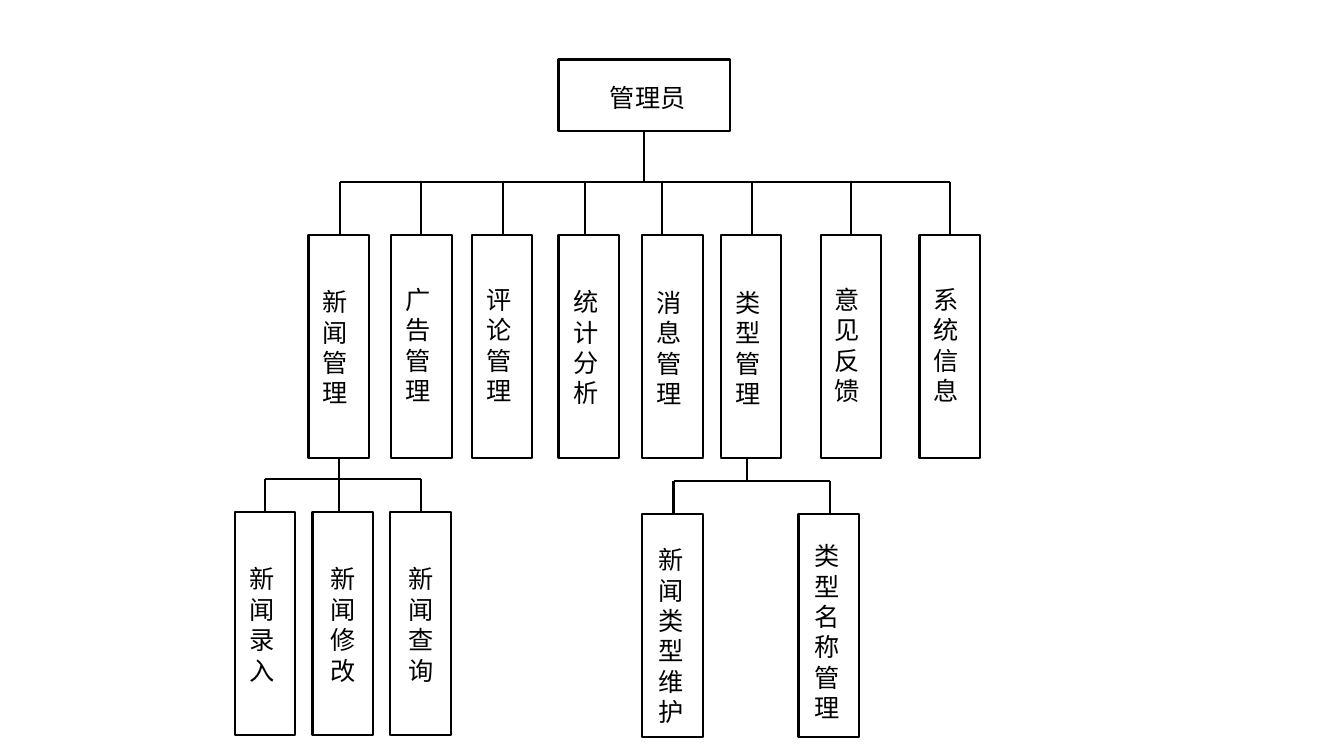
from dataclasses import dataclass

from lxml import etree
from pptx import Presentation
from pptx.dml.color import RGBColor
from pptx.enum.shapes import MSO_CONNECTOR, MSO_SHAPE
from pptx.enum.text import MSO_ANCHOR, MSO_AUTO_SIZE, PP_ALIGN
from pptx.oxml.ns import qn
from pptx.util import Inches, Pt

RECTANGLE = MSO_SHAPE.RECTANGLE
STRAIGHT = MSO_CONNECTOR.STRAIGHT
TOP = MSO_ANCHOR.TOP
GROW = MSO_AUTO_SIZE.SHAPE_TO_FIT_TEXT
LEFT = PP_ALIGN.LEFT


@dataclass(frozen=True)
class Theme:
    ink: RGBColor = RGBColor(0, 0, 0)
    font: str = "Noto Sans CJK SC"
    text_size: Pt = Pt(18)
    line_pitch: Pt = Pt(21.7)
    line_width: Pt = Pt(1.5)


THEME = Theme()
BOX_WIDTH, BOX_HEIGHT = 0.6, 2.21
LABEL_WIDTH, LINE_HEIGHT, LABEL_PADDING = 0.51, 0.3, 0.1

# Tiers: top of the boxes, then (text, box left, label left, label top)
MODULE_TOP = 2.33
MODULES = [
    ("新闻管理", 3.06, 3.1, 2.77),
    ("广告管理", 3.88, 3.92, 2.75),
    ("评论管理", 4.68, 4.73, 2.75),
    ("统计分析", 5.54, 5.59, 2.77),
    ("消息管理", 6.37, 6.41, 2.78),
    ("类型管理", 7.15, 7.2, 2.78),
    ("意见反馈", 8.14, 8.18, 2.75),
    ("系统信息", 9.12, 9.16, 2.75),
]
NEWS_TOP = 5.08
NEWS_TASKS = [
    ("新闻录入", 2.33, 2.38, 5.52),
    ("新闻修改", 3.1, 3.18, 5.52),
    ("新闻查询", 3.87, 3.95, 5.52),
]
TYPE_TOP = 5.1
TYPE_TASKS = [
    ("新闻类型维护", 6.37, 6.43, 5.33),
    ("类型名称管理", 7.92, 7.98, 5.29),
]

# Branches: stem x, stem top, bus y, drop bottom, drop positions
BRANCHES = [
    (6.39, 1.31, 1.81, 2.33, [3.37, 4.18, 4.99, 5.8, 6.57, 7.46, 8.44, 9.42]),
    (3.36, 4.54, 4.75, NEWS_TOP, [2.63, 3.36, 4.18]),
    (7.41, 4.54, 4.77, TYPE_TOP, [6.68, 8.23]),
]


def apply(target, values):
    for name, value in values.items():
        setattr(target, name, value)


def style_line(line):
    line.color.rgb = THEME.ink
    line.width = THEME.line_width


def add_frame(chart, left, top, width, height):
    frame = chart.shapes.add_shape(
        RECTANGLE, Inches(left), Inches(top), Inches(width), Inches(height))
    frame.shadow.inherit = False
    frame.fill.background()
    style_line(frame.line)


def add_label(chart, text, left, top, width, height):
    box = chart.shapes.add_textbox(
        Inches(left), Inches(top), Inches(width), Inches(height))
    apply(box.text_frame, {
        "word_wrap": True, "auto_size": GROW, "vertical_anchor": TOP,
        "margin_left": Inches(0.1), "margin_right": Inches(0.1),
        "margin_top": Inches(0.07), "margin_bottom": Inches(0.03),
    })
    para = box.text_frame.paragraphs[0]
    apply(para, {"alignment": LEFT, "line_spacing": THEME.line_pitch})
    span = para.add_run()
    span.text = text
    apply(span.font, {"name": THEME.font, "size": THEME.text_size})
    span.font.color.rgb = THEME.ink
    # East Asian typeface
    properties = span.font._element if hasattr(span.font, "_element") else span._r.get_or_add_rPr()
    etree.SubElement(properties, qn("a:ea"), typeface=THEME.font)


def add_line(chart, start, end):
    line = chart.shapes.add_connector(
        STRAIGHT, *(Inches(value) for value in (*start, *end)))
    style_line(line.line)
    etree.SubElement(line._element.spPr, qn("a:effectLst"))


def add_branch(chart, stem, top, bus, bottom, drops):
    add_line(chart, (stem, top), (stem, bus))
    add_line(chart, (drops[0], bus), (drops[-1], bus))
    for drop in drops:
        add_line(chart, (drop, bus), (drop, bottom))


def add_tier(chart, top, entries):
    for text, box_left, label_left, label_top in entries:
        add_frame(chart, box_left, top, BOX_WIDTH, BOX_HEIGHT)
        # The narrow label wraps after each character
        height = len(text) * LINE_HEIGHT + LABEL_PADDING
        add_label(chart, text, label_left, label_top, LABEL_WIDTH, height)


def main():
    deck = Presentation()
    deck.slide_width, deck.slide_height = Inches(13.33), Inches(7.5)
    page = deck.slides.add_slide(deck.slide_layouts[6])
    chart = page.shapes.add_group_shape()

    # Root
    add_frame(chart, 5.54, 0.59, 1.7, 0.71)
    add_label(chart, "管理员", 5.95, 0.74, 1.1, 0.42)

    # Connecting lines
    for branch in BRANCHES:
        add_branch(chart, *branch)

    # Modules and their tasks
    add_tier(chart, MODULE_TOP, MODULES)
    add_tier(chart, NEWS_TOP, NEWS_TASKS)
    add_tier(chart, TYPE_TOP, TYPE_TASKS)

    deck.save("out.pptx")


if __name__ == "__main__":
    main()
